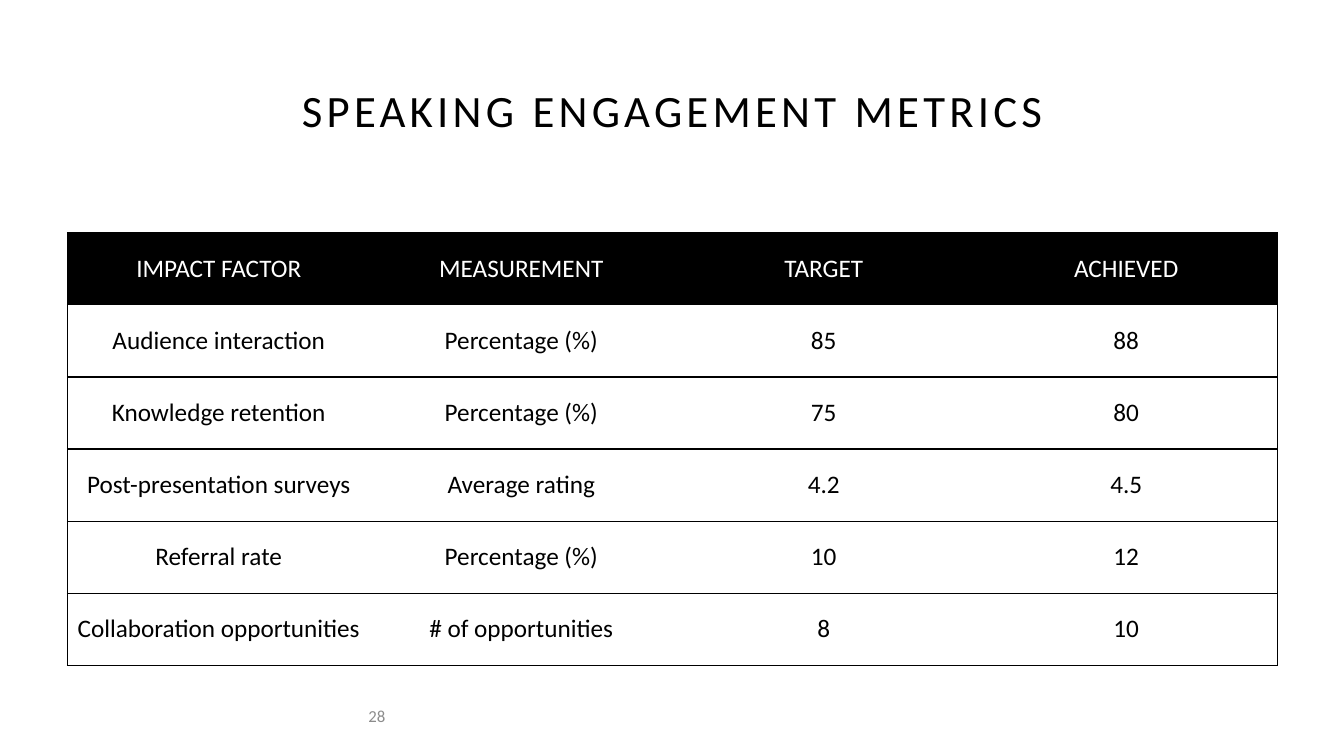
from dataclasses import astuple, dataclass

import pptx
import pptx.dml.color
import pptx.enum.text
import pptx.oxml
import pptx.oxml.ns
import pptx.slide
import pptx.table
import pptx.text.text
import pptx.util
from pptx.util import Inches

BLACK = "000000"
WHITE = "FFFFFF"
GRAY = "8C8C8C"
ALIGN = pptx.enum.text.PP_ALIGN


@dataclass
class Metric:
    impact_factor: str
    measurement: str
    target: str
    achieved: str


HEADER = Metric("IMPACT FACTOR", "MEASUREMENT", "TARGET", "ACHIEVED")
METRICS = [
    Metric("Audience interaction", "Percentage (%)", "85", "88"),
    Metric("Knowledge retention", "Percentage (%)", "75", "80"),
    Metric("Post-presentation surveys", "Average rating", "4.2", "4.5"),
    Metric("Referral rate", "Percentage (%)", "10", "12"),
    Metric("Collaboration opportunities", "# of opportunities", "8", "10"),
]


def color(value: str) -> pptx.dml.color.RGBColor:
    return pptx.dml.color.RGBColor.from_string(value)


def write_text(
    frame: pptx.text.text.TextFrame,
    text: str,
    *,
    size: float = 18,
    fill: str = BLACK,
    align: ALIGN = ALIGN.CENTER,
    line_spacing: float = 1.0,
    letter_spacing: float = 0,
) -> None:
    frame.word_wrap = True
    paragraph = frame.paragraphs[0]
    paragraph.alignment = align
    paragraph.line_spacing = line_spacing
    run = paragraph.add_run()
    run.text = text
    run.font.name = "Calibri"
    run.font.size = pptx.util.Pt(size)
    run.font.color.rgb = color(fill)
    if letter_spacing:
        run.font._element.set("spc", str(int(letter_spacing * 100)))


def set_borders(cell: pptx.table._Cell, visible_sides: str) -> None:
    properties = cell._tc.get_or_add_tcPr()
    namespace = pptx.oxml.ns.nsdecls("a")
    for side in "LRTB":
        paint = "<a:noFill/>"
        if side in visible_sides:
            paint = f'<a:solidFill><a:srgbClr val="{BLACK}"/></a:solidFill>'
        properties.append(
            pptx.oxml.parse_xml(f'<a:ln{side} {namespace} w="12700">{paint}</a:ln{side}>')
        )


def add_title(slide: pptx.slide.Slide) -> None:
    title = slide.shapes.title
    title.left, title.top = Inches(0.92), Inches(0.4)
    title.width, title.height = Inches(11.5), Inches(1.45)
    title.text_frame.auto_size = pptx.enum.text.MSO_AUTO_SIZE.NONE
    title.text_frame.vertical_anchor = pptx.enum.text.MSO_ANCHOR.MIDDLE
    write_text(
        title.text_frame,
        "SPEAKING ENGAGEMENT METRICS",
        size=32,
        line_spacing=0.9,
        letter_spacing=3,
    )


def add_metrics_table(slide: pptx.slide.Slide) -> None:
    rows = [astuple(metric) for metric in [HEADER, *METRICS]]
    last_column = len(rows[0]) - 1
    table = slide.shapes.add_table(
        len(rows), len(rows[0]), Inches(0.67), Inches(2.31), Inches(12), Inches(4.29)
    ).table
    table.horz_banding = False
    for row_index, row in enumerate(rows):
        is_header = row_index == 0
        for column_index, text in enumerate(row):
            cell = table.cell(row_index, column_index)
            left = "L" if column_index == 0 else ""
            right = "R" if column_index == last_column else ""
            set_borders(cell, "TB" + left + right)
            if is_header:
                cell.fill.solid()
                cell.fill.fore_color.rgb = color(BLACK)
            else:
                cell.fill.background()
            cell.vertical_anchor = pptx.enum.text.MSO_ANCHOR.MIDDLE
            cell.margin_left = cell.margin_right = Inches(0.05)
            write_text(cell.text_frame, text, fill=WHITE if is_header else BLACK)
            cell.text_frame.paragraphs[0].runs[0].font.bold = False


def add_slide_number(slide: pptx.slide.Slide) -> None:
    number = slide.shapes.add_textbox(Inches(0.92), Inches(6.9), Inches(3), Inches(0.4))
    number.text_frame.vertical_anchor = pptx.enum.text.MSO_ANCHOR.MIDDLE
    write_text(number.text_frame, "28", size=12, fill=GRAY, align=ALIGN.RIGHT)


def main() -> None:
    presentation = pptx.Presentation()
    presentation.slide_width = Inches(13.33)
    presentation.slide_height = Inches(7.5)
    slide = presentation.slides.add_slide(presentation.slide_layouts[5])
    add_title(slide)
    add_metrics_table(slide)
    add_slide_number(slide)
    presentation.save("out.pptx")


if __name__ == "__main__":
    main()
